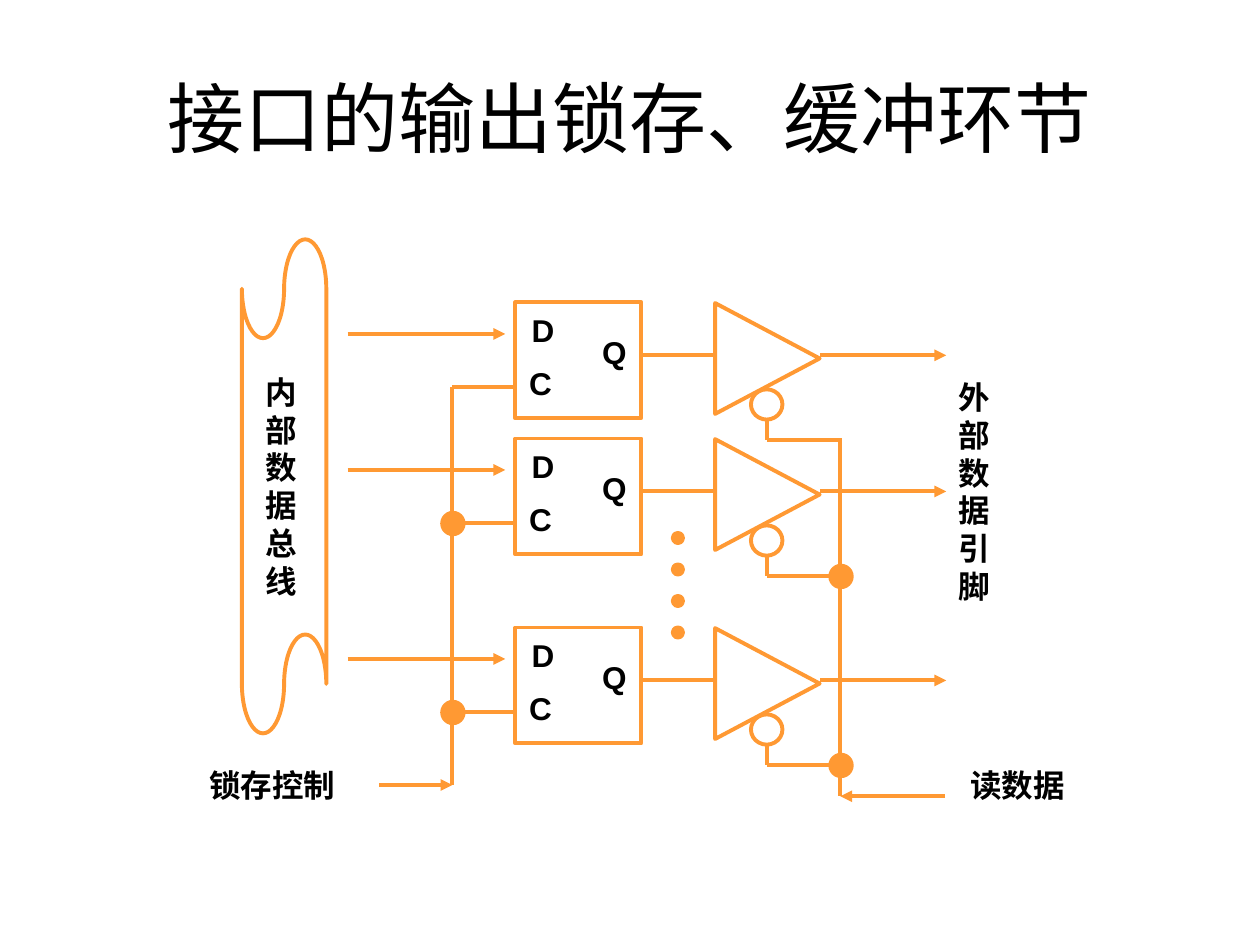
import pptx
import pptx.dml.color
import pptx.enum.shapes
import pptx.enum.text
import pptx.oxml
import pptx.oxml.ns
import pptx.util
from pptx.util import Inches

COLORS = {"circuit": "FF9933", "text": "000000"}
circuit_color = pptx.dml.color.RGBColor.from_string(COLORS["circuit"])
text_color = pptx.dml.color.RGBColor.from_string(COLORS["text"])
shape_types = pptx.enum.shapes.MSO_SHAPE
middle = pptx.enum.text.MSO_ANCHOR.MIDDLE
center = pptx.enum.text.PP_ALIGN.CENTER

presentation = pptx.Presentation()
presentation.slide_width = Inches(10)
presentation.slide_height = Inches(7.5)
slide = presentation.slides.add_slide(presentation.slide_layouts[5])


def add_line(x1, y1, x2, y2, arrow=False):
    connector = slide.shapes.add_connector(
        pptx.enum.shapes.MSO_CONNECTOR.STRAIGHT,
        Inches(x1), Inches(y1), Inches(x2), Inches(y2))
    connector.line.color.rgb = circuit_color
    connector.line.width = pptx.util.Pt(2.25)
    properties = connector._element.spPr
    properties.append(pptx.oxml.parse_xml(
        f'<a:effectLst {pptx.oxml.ns.nsdecls("a")}/>'))
    if arrow:
        connector.line._get_or_add_ln().append(pptx.oxml.parse_xml(
            f'<a:tailEnd {pptx.oxml.ns.nsdecls("a")} type="triangle"/>'))


def add_part(shape_type, left, top, width, height, filled=False):
    shape = slide.shapes.add_shape(
        shape_type, Inches(left), Inches(top), Inches(width), Inches(height))
    shape.shadow.inherit = False
    shape.line.color.rgb = circuit_color
    shape.line.width = pptx.util.Pt(2.25)
    if filled:
        shape.fill.solid()
        shape.fill.fore_color.rgb = circuit_color
    else:
        shape.fill.background()
    return shape


title = slide.shapes.title
title.left, title.top = Inches(0.5), Inches(0.3)
title.width, title.height = Inches(9), Inches(1.25)
title.text_frame.text = "接口的输出锁存、缓冲环节"
title.text_frame.vertical_anchor = middle
title_paragraph = title.text_frame.paragraphs[0]
title_paragraph.alignment = center
title_paragraph.font.name = "Calibri"
title_paragraph.font.size = pptx.util.Pt(44)
title_paragraph.font.color.rgb = text_color

labels = [
    ("\n".join("内部数据总线"), 2.01, 2.91, 0.45, 1.9),
    ("\n".join("外部数据引脚"), 7.51, 2.95, 0.45, 1.9),
    ("锁存控制", 1.56, 6.03, 1.2, 0.4),
    ("读数据", 7.6, 6.03, 0.95, 0.4),
]

add_part(shape_types.FLOWCHART_PUNCHED_TAPE, 1.92, 1.9, 0.67, 3.92)

latch_x, read_x = 3.59, 6.67
add_line(latch_x, 3.07, latch_x, 6.23)
add_line(3.01, 6.23, latch_x, 6.23, arrow=True)
add_line(read_x, 3.48, read_x, 6.32)
add_line(7.5, 6.32, read_x, 6.32, arrow=True)

for stage, top in enumerate((2.4, 3.48, 4.98)):
    clock_y, output_y, enable_y = top + 0.67, top + 0.42, top + 1.09
    add_part(shape_types.RECTANGLE, 4.09, top, 1, 0.92)
    buffer = add_part(shape_types.ISOSCELES_TRIANGLE, 5.65, top + 0.03, 0.88, 0.83)
    buffer.rotation = 90
    add_part(shape_types.OVAL, 5.96, top + 0.69, 0.25, 0.24)
    add_line(2.76, top + 0.25, 4.01, top + 0.25, arrow=True)
    add_line(latch_x, clock_y, 4.09, clock_y)
    add_line(5.09, output_y, 5.67, output_y)
    add_line(6.51, output_y, 7.51, output_y, arrow=True)
    add_line(6.09, top + 0.92, 6.09, enable_y)
    add_line(read_x, enable_y, 6.09, enable_y)
    if stage > 0:
        for x, y in ((latch_x, clock_y), (read_x, enable_y)):
            add_part(shape_types.OVAL, x - 0.08, y - 0.08, 0.17, 0.17, filled=True)
    labels += [
        ("D", 4.12, top + 0.02, 0.38, 0.4),
        ("C", 4.1, top + 0.44, 0.38, 0.4),
        ("Q", 4.68, top + 0.19, 0.39, 0.4),
    ]

for dot in range(4):
    add_part(shape_types.OVAL, 5.34, 4.23 + 0.25 * dot, 0.08, 0.08, filled=True)

for text, left, top, width, height in labels:
    label = slide.shapes.add_textbox(
        Inches(left), Inches(top), Inches(width), Inches(height))
    label.text_frame.word_wrap = False
    label.text_frame.vertical_anchor = middle
    label.text_frame.text = text
    for paragraph in label.text_frame.paragraphs:
        paragraph.alignment = center
        paragraph.font.name = "Arial"
        paragraph.font.size = pptx.util.Pt(18)
        paragraph.font.bold = True
        paragraph.font.color.rgb = text_color

presentation.save("out.pptx")
